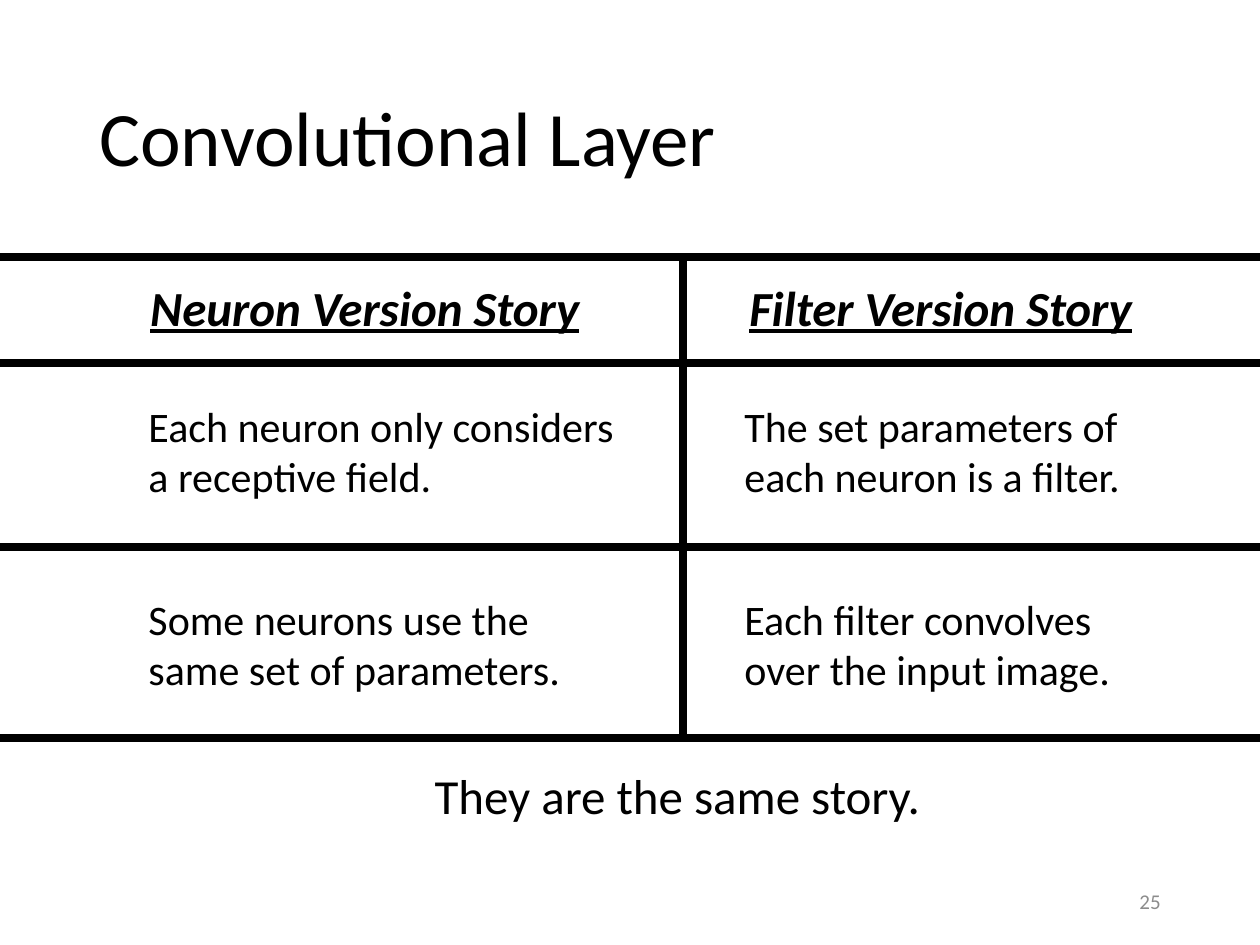
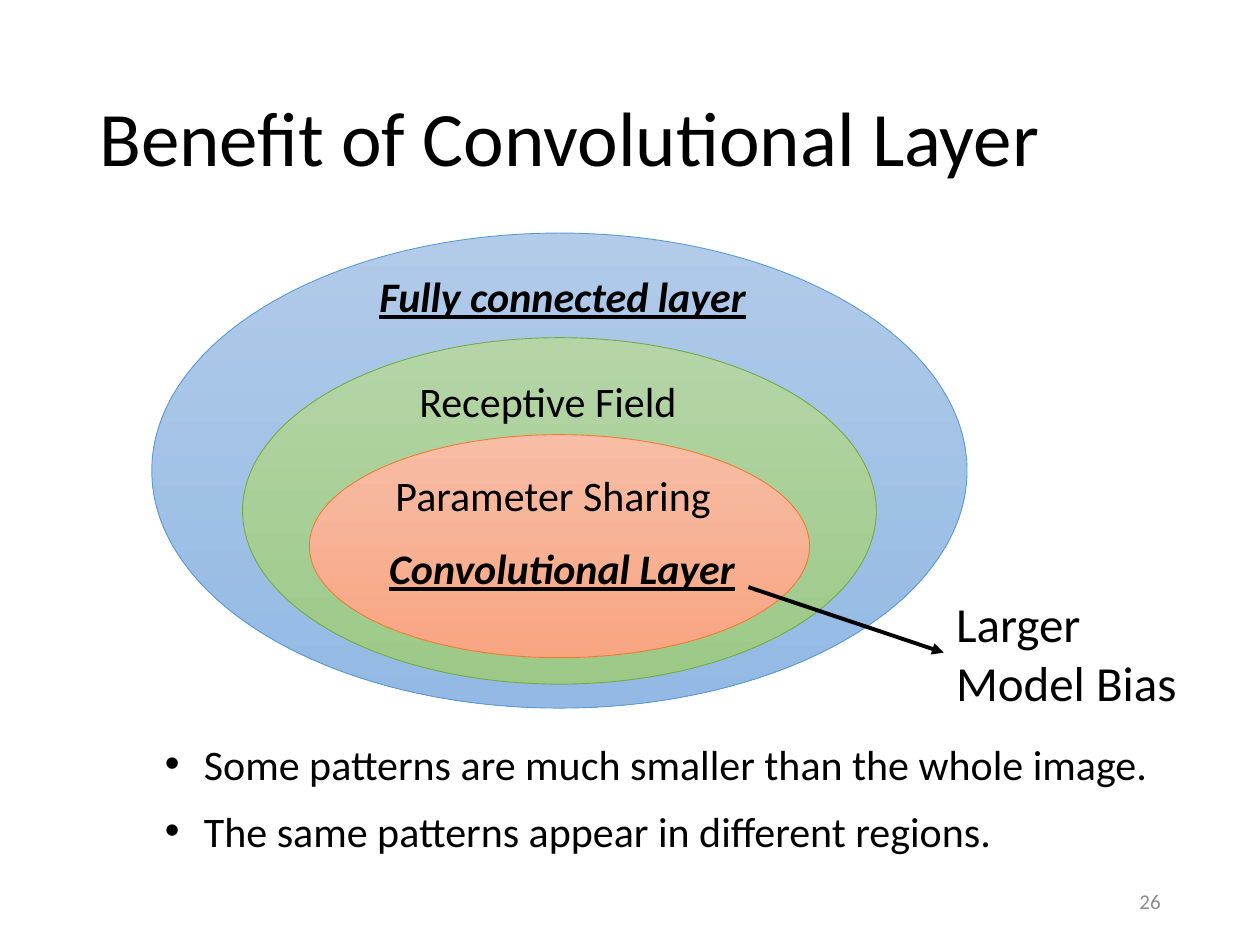
from itertools import accumulate
from lxml import etree
from pptx import Presentation
from pptx import util as u
from pptx.dml.color import RGBColor
from pptx.enum import shapes, text
from pptx.oxml import ns

WIDE, HIGH = 10, 7.5
FACE = "Calibri"
BLACK = RGBColor(0, 0, 0)
GREY = RGBColor(0x8C, 0x8C, 0x8C)
BLUE = RGBColor(0x5B, 0x9B, 0xD5)
SKY = RGBColor(0xB1, 0xCB, 0xE9), RGBColor(0x93, 0xB9, 0xE4)
GREEN = RGBColor(0x70, 0xAD, 0x47)
LEAF = RGBColor(0xB5, 0xD5, 0xA7), RGBColor(0x9C, 0xC9, 0x87)
RED = RGBColor(0xED, 0x7D, 0x31)
PEACH = RGBColor(0xF7, 0xBD, 0xA5), RGBColor(0xF8, 0xA5, 0x82)

LEFT, MID, RIGHT = text.PP_ALIGN.LEFT, text.PP_ALIGN.CENTER, text.PP_ALIGN.RIGHT
PLAIN = dict(size=u.Pt(24))
BIG = dict(size=u.Pt(28))
STRONG = dict(bold=True, italic=True, underline=True)
SMALL = dict(size=u.Pt(12))
TITLE = dict(size=u.Pt(44))

STORY = dict(
    title="Convolutional Layer", page=25,
    heads=["Neuron Version Story", "Filter Version Story"],
    rows=[
        ["Each neuron only considers a receptive field.",
         "The set parameters of each neuron is a filter."],
        ["Some neurons use the same set of parameters.",
         "Each filter convolves over the input image."],
    ],
    close="They are the same story.",
)
GAIN = dict(
    title="Benefit of Convolutional Layer", page=26,
    rings=[
        (1.85, 6.47, 3.77, SKY, BLUE),
        (2.68, 5.03, 2.75, LEAF, GREEN),
        (3.45, 3.97, 1.77, PEACH, RED),
    ],
    labels=[
        ("Fully connected layer", 2.48, 2.1, 3.97, MID, STRONG),
        ("Receptive Field", 3.23, 2.93, 2.56, LEFT, {}),
        ("Parameter Sharing", 3.04, 3.68, 2.95, LEFT, {}),
        ("Convolutional Layer", 2.99, 4.26, 2.95, LEFT, STRONG),
    ],
    points=["Some patterns are much smaller than the whole image.",
            "The same patterns appear in different regions."],
    note="Larger Model Bias",
)

TOP = 2.04
ROWS = [0.84, 1.46, 1.52]
SPLIT = 5.42
HEADS = [(1.08, 3.63), (5.61, 3.71)]
CELLS = [(1.08, 3.92), (5.81, 3.4)]
CORE = 4.44


def mark(par):
    props = par._p.get_or_add_pPr()
    props.set("marL", str(u.Inches(0.31)))
    props.set("indent", str(-u.Inches(0.31)))
    font = etree.SubElement(props, ns.qn("a:buFont"))
    font.set("typeface", "Arial")
    etree.SubElement(props, ns.qn("a:buChar")).set("char", "•")


def write(page, words, x, y, w, h, form, align=LEFT, tone=BLACK,
          anchor=text.MSO_ANCHOR.TOP, bullet=False):
    frame = page.shapes.add_textbox(*map(u.Inches, (x, y, w, h))).text_frame
    frame.word_wrap = True
    frame.vertical_anchor = anchor
    par = frame.paragraphs[0]
    par.alignment = align
    if bullet:
        mark(par)
    run = par.add_run()
    run.text = words
    run.font.color.rgb = tone
    for key, val in dict(name=FACE, **form).items():
        setattr(run.font, key, val)
    return par


def draw(page, x, y, end, foot, width, arrow=False):
    line = page.shapes.add_connector(
        shapes.MSO_CONNECTOR.STRAIGHT, *map(u.Inches, (x, y, end, foot)))
    line.line.color.rgb = BLACK
    line.line.width = u.Pt(width)
    if arrow:
        tip = etree.SubElement(line.line._get_or_add_ln(), ns.qn("a:tailEnd"))
        tip.set("type", "triangle")
    etree.SubElement(line._element.spPr, ns.qn("a:effectLst"))


def ring(page, y, w, h, fade, edge):
    oval = page.shapes.add_shape(
        shapes.MSO_SHAPE.OVAL, *map(u.Inches, (CORE - w / 2, y, w, h)))
    oval.shadow.inherit = False
    oval.fill.gradient()
    oval.fill.gradient_angle = 270
    for place, stop, tone in zip((0, 1), oval.fill.gradient_stops, fade):
        stop.position = place
        stop.color.rgb = tone
    oval.line.color.rgb = edge
    oval.line.width = u.Pt(0.5)


def start(deck, data):
    page = deck.slides.add_slide(deck.slide_layouts[6])
    middle = text.MSO_ANCHOR.MIDDLE
    par = write(page, data["title"], 0.69, 0.4, 8.62, 1.45, TITLE, anchor=middle)
    par.line_spacing = 0.9
    write(page, str(data["page"]), 7.06, 6.95, 2.25, 0.4, SMALL, RIGHT, GREY, middle)
    return page


def story(deck, data):
    page = start(deck, data)
    rules = list(accumulate([TOP] + ROWS))
    for y in rules:
        draw(page, 0, y, WIDE, y, 4.5)
    draw(page, SPLIT, rules[0], SPLIT, rules[-1], 4.5)
    for words, (x, w) in zip(data["heads"], HEADS):
        write(page, words, x, TOP + 0.11, w, 0.57, BIG | STRONG, MID)
    for row, y, gap in zip(data["rows"], rules[1:], (0.25, 0.32)):
        for words, (x, w) in zip(row, CELLS):
            write(page, words, x, y + gap, w, 0.91, PLAIN)
    write(page, data["close"], 1.3, 6.03, 8.15, 0.57, BIG, MID)


def gain(deck, data):
    page = start(deck, data)
    for item in data["rings"]:
        ring(page, *item)
    for words, x, y, w, align, form in data["labels"]:
        write(page, words, x, y, w, 0.5, PLAIN | form, align)
    for num, words in enumerate(data["points"]):
        write(page, words, 1.21, 5.81 + 0.53 * num, 8.28, 0.5, PLAIN, bullet=True)
    write(page, data["note"], 7.49, 4.66, 2.16, 1.04, BIG)
    draw(page, 5.94, 4.66, 7.49, 5.18, 2.25, arrow=True)


def main():
    deck = Presentation()
    deck.slide_width, deck.slide_height = u.Inches(WIDE), u.Inches(HIGH)
    story(deck, STORY)
    gain(deck, GAIN)
    deck.save("out.pptx")


if __name__ == "__main__":
    main()
